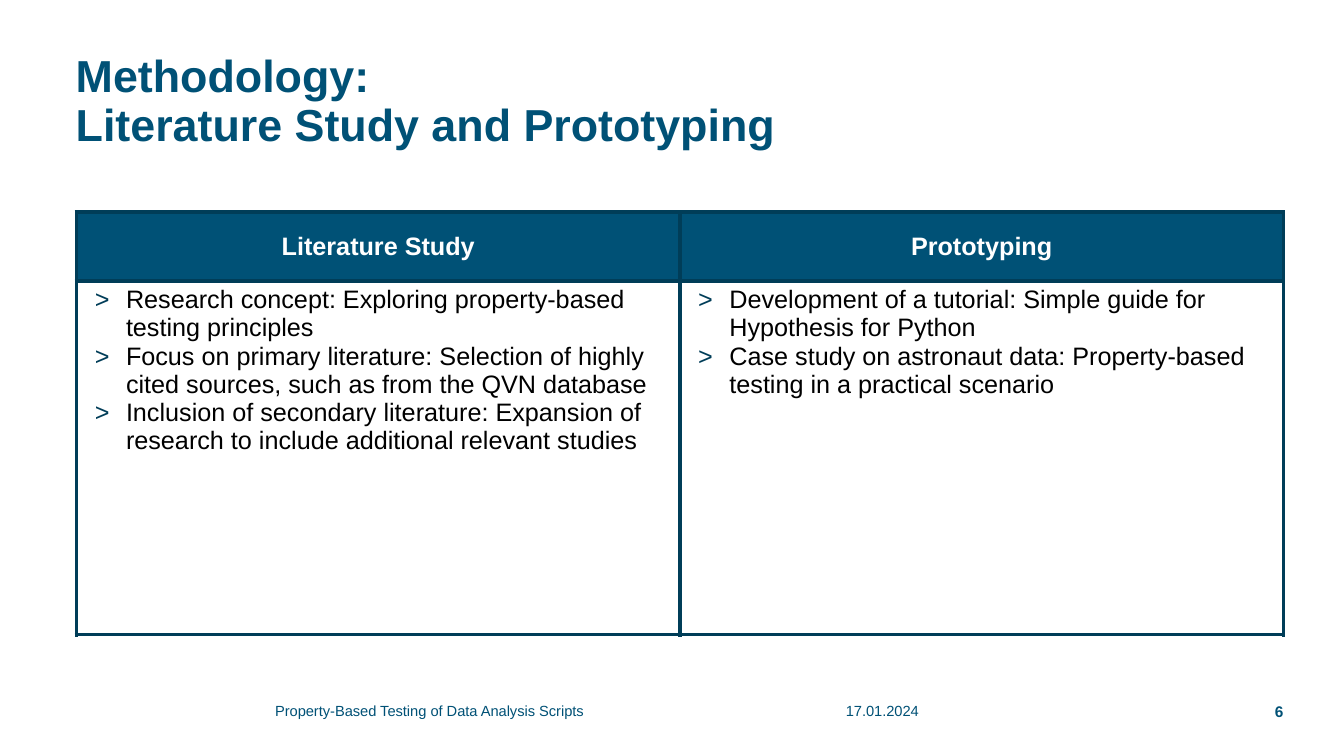
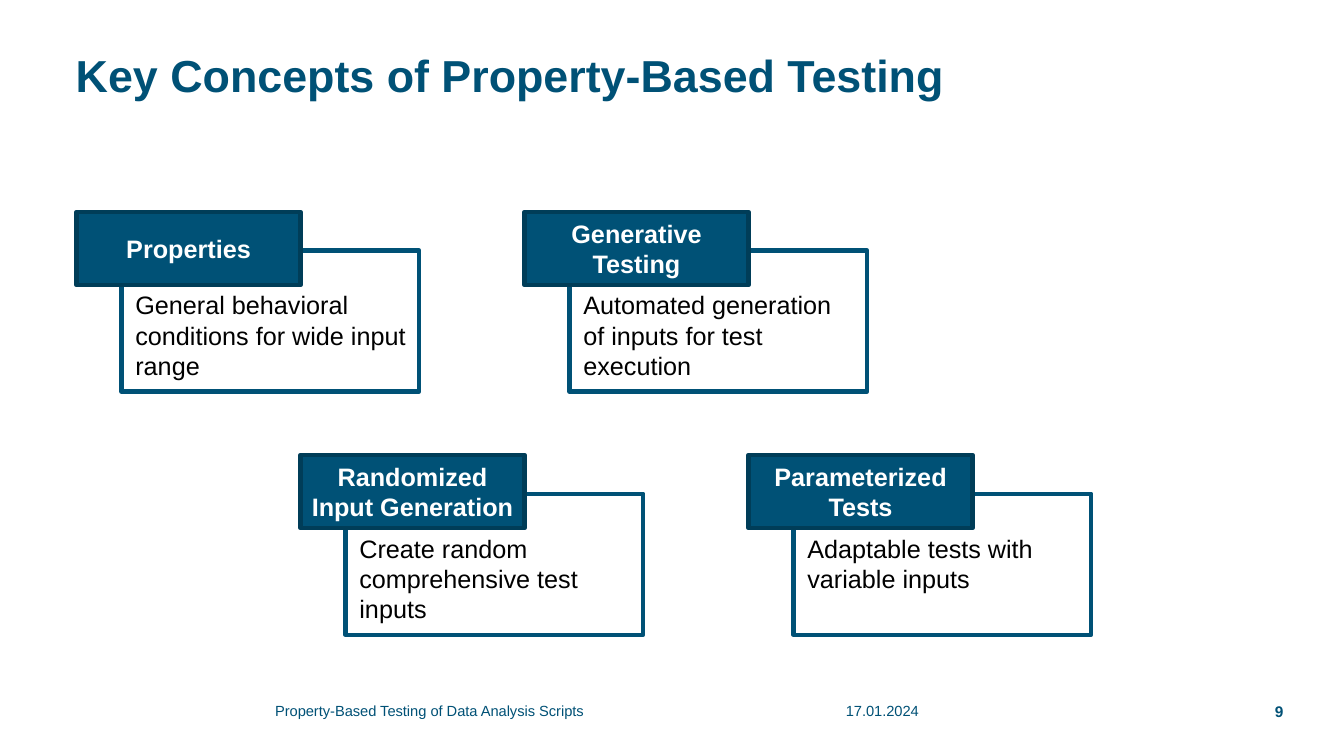
"""Build two slides on the methodology and key concepts of property-based testing."""
from lxml import etree
from pptx import Presentation
from pptx import util as u
from pptx.dml.color import RGBColor
from pptx.enum import shapes, text
from pptx.oxml import ns

PETROL = RGBColor(0x00, 0x51, 0x76)
DARK_PETROL = RGBColor(0x00, 0x3D, 0x58)
WHITE = RGBColor(0xFF, 0xFF, 0xFF)
BLACK = RGBColor(0x00, 0x00, 0x00)

WIDTH, HEIGHT = u.Inches(13.333), u.Inches(7.5)
GRID = 60
LEFT, TOP = 3.42, 16.8
BORDER = u.Pt(3)

TITLE = {"size": u.Pt(32), "bold": True, "color": PETROL}
HEADING = {"size": u.Pt(18), "bold": True, "color": WHITE}
BODY = {"size": u.Pt(18), "bold": False, "color": BLACK}
FOOTER = {"size": u.Pt(10.5), "bold": False, "color": PETROL}
PAGE_NUMBER = {"size": u.Pt(11), "bold": True, "color": PETROL}

NO_MARGINS = dict.fromkeys(("margin_left", "margin_top", "margin_right", "margin_bottom"), 0)
MIDDLE = {"vertical_anchor": text.MSO_ANCHOR.MIDDLE}
CARD_MARGINS = {"margin_left": u.Inches(0.1), "margin_top": u.Inches(0.39),
                "margin_right": u.Inches(0.1), "margin_bottom": u.Inches(0.05),
                "vertical_anchor": text.MSO_ANCHOR.TOP}

METHODS = {
    "Literature Study": [
        "Research concept: Exploring property-based testing principles",
        "Focus on primary literature: Selection of highly cited sources, "
        "such as from the QVN database",
        "Inclusion of secondary literature: Expansion of research to include "
        "additional relevant studies",
    ],
    "Prototyping": [
        "Development of a tutorial: Simple guide for Hypothesis for Python",
        "Case study on astronaut data: Property-based testing in a practical scenario",
    ],
}
CONCEPTS = [
    ("Properties", "General behavioral conditions for wide input range"),
    ("Generative Testing", "Automated generation of inputs for test execution"),
    ("Randomized Input Generation", "Create random comprehensive test inputs"),
    ("Parameterized Tests", "Adaptable tests with variable inputs"),
]


def cols(count):
    """Return the width of a number of grid columns."""
    return int(WIDTH * count / GRID)


def rows(count):
    """Return the height of a number of grid rows."""
    return int(HEIGHT * count / GRID)


def area(col, row, width, height):
    """Return left, top, width and height of a grid area."""
    return cols(col), rows(row), cols(width), rows(height)


def assign(target, values):
    """Set each named value on the target."""
    for name, value in values.items():
        setattr(target, name, value)


def write(paragraph, words, style, align=text.PP_ALIGN.LEFT):
    """Fill a paragraph with styled words."""
    paragraph.alignment = align
    for index, line in enumerate(words.split("\n")):
        if index:
            paragraph.add_line_break()
        run = paragraph.add_run()
        run.text = line
        assign(run.font, {"name": "Arial", "size": style["size"], "bold": style["bold"]})
        run.font.color.rgb = style["color"]


def add_bullet(paragraph):
    """Give a paragraph a hanging angle-bracket bullet."""
    properties = paragraph._p.get_or_add_pPr()
    properties.set("marL", str(u.Inches(0.39)))
    properties.set("indent", str(u.Inches(-0.31)))
    colour = etree.SubElement(properties, ns.qn("a:buClr"))
    etree.SubElement(colour, ns.qn("a:srgbClr"), val=str(DARK_PETROL))
    etree.SubElement(properties, ns.qn("a:buFont"), typeface="Arial")
    etree.SubElement(properties, ns.qn("a:buChar"), char=">")


def add_footer(slide, words, style, col, width, align=text.PP_ALIGN.LEFT):
    """Add one part of the footer line."""
    frame = slide.shapes.add_textbox(*area(col, 55.36, width, 2.16)).text_frame
    assign(frame, {**NO_MARGINS, **MIDDLE, "word_wrap": True})
    write(frame.paragraphs[0], words, style, align)


def add_slide(deck, heading, number):
    """Add a slide with its title and footer."""
    slide = deck.slides.add_slide(deck.slide_layouts[5])
    title = slide.shapes.title
    assign(title, dict(zip(("left", "top", "width", "height"), area(3.38, 4.3, 53.9, 10.64))))
    assign(title.text_frame, {**NO_MARGINS, "vertical_anchor": text.MSO_ANCHOR.TOP,
                              "auto_size": text.MSO_AUTO_SIZE.NONE})
    paragraph = title.text_frame.paragraphs[0]
    paragraph.line_spacing = 0.9
    write(paragraph, heading, TITLE)
    add_footer(slide, "17.01.2024", FOOTER, 37.76, 6)
    add_footer(slide, "Property-Based Testing of Data Analysis Scripts", FOOTER, 12.28, 25.4)
    add_footer(slide, str(number), PAGE_NUMBER, 43.8, 13.5, text.PP_ALIGN.RIGHT)
    return slide


def add_borders(cell):
    """Draw a line on all four sides of a cell before its fill."""
    properties = cell._tc.get_or_add_tcPr()
    for index, side in enumerate(("lnL", "lnR", "lnT", "lnB")):
        line = etree.Element(ns.qn(f"a:{side}"), w=str(BORDER))
        fill = etree.SubElement(line, ns.qn("a:solidFill"))
        etree.SubElement(fill, ns.qn("a:srgbClr"), val=str(DARK_PETROL))
        properties.insert(index, line)


def add_methods(slide, methods):
    """Add a table with one column per method."""
    heights = (5.44, 28.08)
    frame = slide.shapes.add_table(2, len(methods), *area(LEFT, TOP + 0.05, 53.88, sum(heights)))
    table = frame.table
    assign(table, {"first_row": False, "horz_banding": False})
    for row, height in zip(table.rows, heights):
        row.height = rows(height)
    for index, (method, points) in enumerate(methods.items()):
        heading, details = table.cell(0, index), table.cell(1, index)
        heading.fill.solid()
        heading.fill.fore_color.rgb = PETROL
        assign(heading, MIDDLE)
        write(heading.text_frame.paragraphs[0], method, HEADING, text.PP_ALIGN.CENTER)
        details.fill.background()
        for position, point in enumerate(points):
            body = details.text_frame
            paragraph = body.add_paragraph() if position else body.paragraphs[0]
            add_bullet(paragraph)
            write(paragraph, point, BODY)
        for cell in (heading, details):
            add_borders(cell)


def add_panel(group, place, outline, frame_values):
    """Add an outlined rectangle to a card and return it."""
    panel = group.shapes.add_shape(shapes.MSO_SHAPE.RECTANGLE, *place)
    panel.shadow.inherit = False
    panel.fill.background()
    panel.line.color.rgb = outline
    panel.line.width = BORDER
    assign(panel.text_frame, {"word_wrap": True, **frame_values})
    return panel


def add_card(slide, col, row, concept, meaning):
    """Add a concept label overlapping its explanation."""
    group = slide.shapes.add_group_shape()
    details = add_panel(group, area(col + 2, row + 3.08, 13.3, 11.2), PETROL, CARD_MARGINS)
    paragraph = details.text_frame.paragraphs[0]
    paragraph._p.get_or_add_pPr().set("marL", str(u.Inches(0.04)))
    write(paragraph, meaning, BODY)
    label = add_panel(group, area(col, row, 10, 5.84), DARK_PETROL, MIDDLE)
    label.fill.solid()
    label.fill.fore_color.rgb = PETROL
    write(label.text_frame.paragraphs[0], concept, HEADING, text.PP_ALIGN.CENTER)


def main():
    """Build and save the deck."""
    deck = Presentation()
    assign(deck, {"slide_width": WIDTH, "slide_height": HEIGHT})
    add_methods(add_slide(deck, "Methodology:\nLiterature Study and Prototyping", 6), METHODS)
    concepts = add_slide(deck, "Key Concepts of Property-Based Testing", 9)
    for index, (concept, meaning) in enumerate(CONCEPTS):
        row, position = divmod(index, 2)
        add_card(concepts, LEFT + 10 * row + 20 * position, TOP + 19.3 * row, concept, meaning)
    deck.save("out.pptx")


if __name__ == "__main__":
    main()
